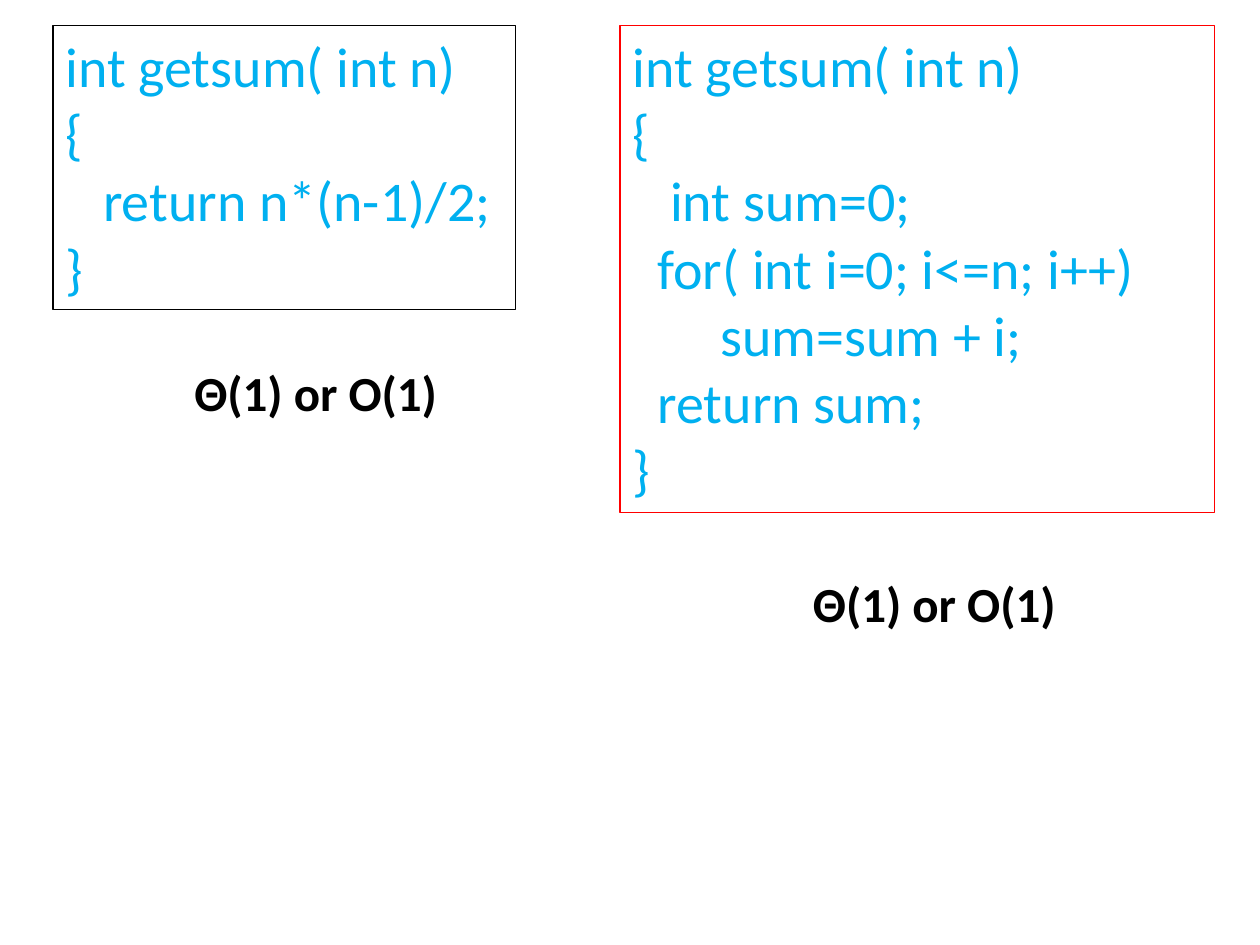
import pptx
import pptx.util
import pptx.dml.color
import pptx.enum.shapes
import pptx.enum.text
from pptx.util import Inches

THEME = {
    "font": "Calibri",
    "code_size": 32,
    "label_size": 28,
    "code": "00B0F0",
    "label": "000000",
    "loop_border": "FF0000",
    "formula_border": "000000",
    "border_width": 0.75,
    "indent_step": 0.1,
}

CODE_BOXES = [
    {
        "at": (4.92, 0.2, 4.72, 3.87),
        "border": "loop_border",
        "lines": [
            (0, "int getsum( int n)"),
            (0, "{"),
            (3, "int sum=0;"),
            (2, "for( int i=0; i<=n; i++)"),
            (7, "sum=sum + i;"),
            (2, "return sum;"),
            (0, "}"),
        ],
    },
    {
        "at": (0.42, 0.2, 3.67, 2.26),
        "border": "formula_border",
        "lines": [
            (0, "int getsum( int n)"),
            (0, "{"),
            (3, "return n*(n-1)/2;"),
            (0, "}"),
        ],
    },
]

LABELS = [
    ((0.92, 2.83, 3.17, 0.57), "Θ(1) or O(1)"),
    ((5.83, 4.5, 3.17, 0.57), "Θ(1) or O(1)"),
]


def color(name):
    return pptx.dml.color.RGBColor.from_string(THEME[name])


def add_lines(box, lines, style, align, bold):
    frame = box.text_frame
    frame.word_wrap = True
    frame.vertical_anchor = pptx.enum.text.MSO_ANCHOR.TOP
    for index, (indent, text) in enumerate(lines):
        para = frame.add_paragraph() if index else frame.paragraphs[0]
        para.alignment = align
        if indent:
            margin = Inches(indent * THEME["indent_step"])
            para._p.get_or_add_pPr().set("marL", str(margin))
        span = para.add_run()
        span.text = text
        span.font.name = THEME["font"]
        span.font.size = pptx.util.Pt(THEME[style + "_size"])
        span.font.bold = bold
        span.font.color.rgb = color(style)


def add_code_box(page, at, border, lines):
    rectangle = pptx.enum.shapes.MSO_SHAPE.RECTANGLE
    box = page.shapes.add_shape(rectangle, *map(Inches, at))
    box.shadow.inherit = False
    box.fill.background()
    box.line.color.rgb = color(border)
    box.line.width = pptx.util.Pt(THEME["border_width"])
    add_lines(box, lines, "code", pptx.enum.text.PP_ALIGN.LEFT, False)


def add_label(page, at, text):
    box = page.shapes.add_textbox(*map(Inches, at))
    add_lines(box, [(0, text)], "label", pptx.enum.text.PP_ALIGN.CENTER, True)


def main():
    deck = pptx.Presentation()
    deck.slide_width, deck.slide_height = Inches(10), Inches(7.5)
    page = deck.slides.add_slide(deck.slide_layouts[6])
    for code_box in CODE_BOXES:
        add_code_box(page, **code_box)
    for at, text in LABELS:
        add_label(page, at, text)
    deck.save("out.pptx")


if __name__ == "__main__":
    main()
